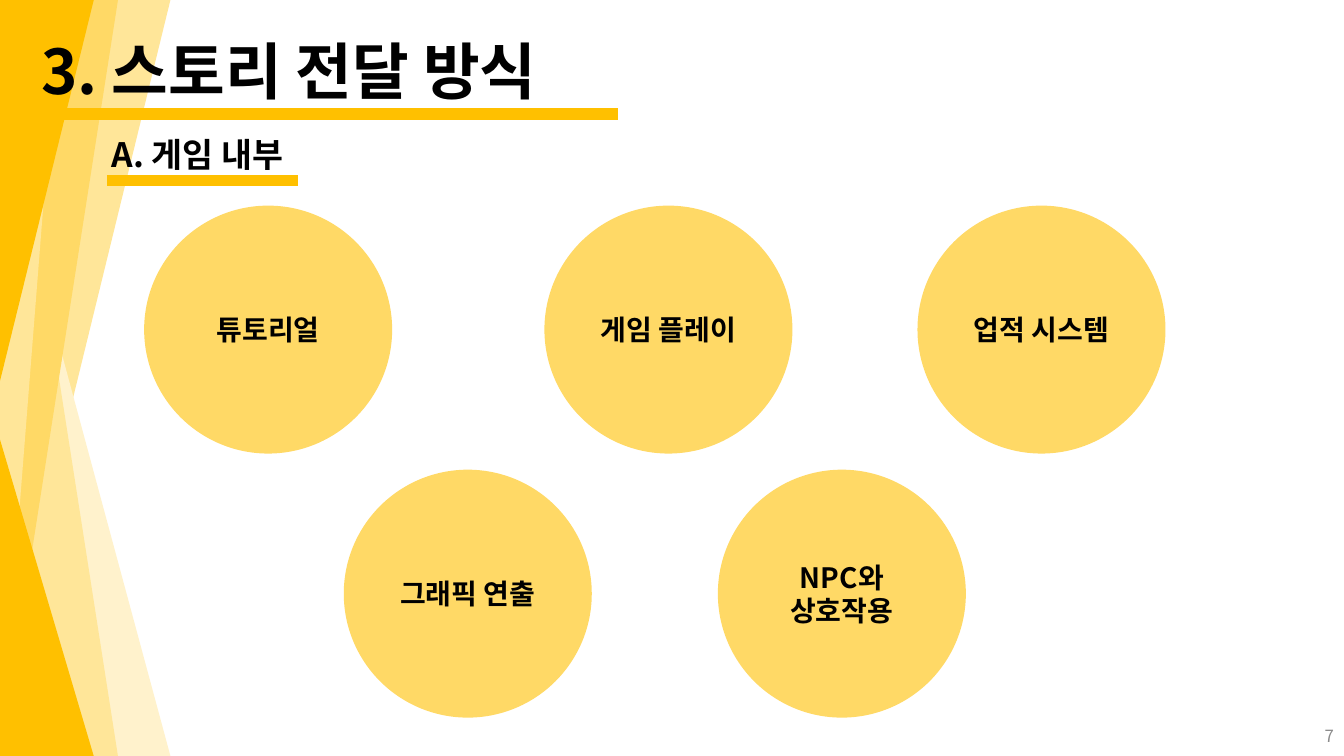
from pptx import Presentation
from pptx.dml.color import RGBColor
from pptx.enum import shapes, text
from pptx.oxml import xmlchemy
from pptx.util import Inches, Pt

AMBER, GOLD, PALE, CREAM = "FFC000", "FFD966", "FFE699", "FFF2CC"
BLACK, GREY = "000000", "8C8C8C"
ALIGN, ANCHOR = text.PP_ALIGN, text.MSO_ANCHOR

# (top, width, height, colour, hangs from the top edge), back to front
SIDE_TRIANGLES = [
    (0, 1.69, 6.91, PALE, True),
    (1.24, 1.69, 6.26, CREAM, False),
    (0, 1.17, 7.5, PALE, False),
    (0, 1.17, 7.5, GOLD, True),
    (0, 0.59, 7.5, PALE, True),
    (4.36, 0.93, 3.14, AMBER, False),
    (0, 0.93, 3.78, AMBER, True),
]
CIRCLE_SIZE = 2.46
CIRCLE_ROWS = {
    2.04: [(1.43, "튜토리얼"), (5.4, "게임 플레이"), (9.1, "업적 시스템")],
    4.66: [(3.41, "그래픽 연출"), (7.12, "NPC와\n상호작용")],
}


def colour(value):
    return RGBColor.from_string(value)


class StorySlide:
    font = "Noto Sans CJK KR"

    def __init__(self, presentation):
        self.slide = presentation.slides.add_slide(presentation.slide_layouts[5])

    def set_words(self, shape, words, size, ink=BLACK, bold=True,
                  align=ALIGN.LEFT, anchor=ANCHOR.TOP, spacing=1.0):
        frame = shape.text_frame
        frame_format = {"word_wrap": True, "vertical_anchor": anchor,
                        "auto_size": text.MSO_AUTO_SIZE.NONE}
        for name, value in frame_format.items():
            setattr(frame, name, value)
        paragraph = frame.paragraphs[0]
        paragraph.text = words
        paragraph.alignment = align
        paragraph.line_spacing = spacing
        for run in paragraph.runs:
            for name, value in {"name": self.font, "size": Pt(size), "bold": bold}.items():
                setattr(run.font, name, value)
            run.font.color.rgb = colour(ink)
            east_asian = xmlchemy.OxmlElement("a:ea")
            east_asian.set("typeface", self.font)
            run.font._element.append(east_asian)

    def title(self, box, words, size):
        shape = self.slide.shapes.title
        for name, value in zip(("left", "top", "width", "height"), box):
            setattr(shape, name, Inches(value))
        self.set_words(shape, words, size, anchor=ANCHOR.MIDDLE, spacing=0.9)

    def label(self, box, words, size, **style):
        shape = self.slide.shapes.add_textbox(*map(Inches, box))
        self.set_words(shape, words, size, **style)

    def solid(self, kind, box, fill):
        shape = self.slide.shapes.add_shape(kind, *map(Inches, box))
        shape.shadow.inherit = False
        shape.fill.solid()
        shape.fill.fore_color.rgb = colour(fill)
        shape.line.fill.background()
        return shape

    def side_triangle(self, top, width, height, fill, hanging):
        """Right triangle whose upright side lies on the slide's left edge."""
        shape = self.solid(shapes.MSO_SHAPE.ISOSCELES_TRIANGLE, (0, top, width, height), fill)
        shape.adjustments[0] = 1 if hanging else 0
        shape.rotation = 180 if hanging else 0

    def circle(self, left, top, words):
        shape = self.solid(shapes.MSO_SHAPE.OVAL, (left, top, CIRCLE_SIZE, CIRCLE_SIZE), GOLD)
        self.set_words(shape, words, 20, align=ALIGN.CENTER, anchor=ANCHOR.MIDDLE)

    def underline(self, left, right, y):
        line = self.slide.shapes.add_connector(
            shapes.MSO_CONNECTOR.STRAIGHT, *map(Inches, (left, y, right, y)))
        line.line.color.rgb = colour(AMBER)
        line.line.width = Pt(8.25)
        line._element.spPr.append(xmlchemy.OxmlElement("a:effectLst"))

    def title_to_front(self):
        tree = self.slide.shapes._spTree
        tree.append(self.slide.shapes.title._element)


def main():
    presentation = Presentation()
    presentation.slide_width, presentation.slide_height = Inches(13.33), Inches(7.5)
    page = StorySlide(presentation)
    for triangle in SIDE_TRIANGLES:
        page.side_triangle(*triangle)
    page.title((0.31, 0.37, 11.5, 0.73), "3. 스토리 전달 방식", 44)
    page.title_to_front()
    page.label((10.33, 7.1, 3, 0.4), "7", 12, ink=GREY, bold=False,
               align=ALIGN.RIGHT, anchor=ANCHOR.MIDDLE)
    page.underline(0.33, 6.13, 1.13)
    page.label((1.01, 1.28, 4.52, 0.5), "A. 게임 내부", 24)
    for top, row in CIRCLE_ROWS.items():
        for left, words in row:
            page.circle(left, top, words)
    page.underline(1.06, 2.96, 1.79)
    presentation.save("out.pptx")


if __name__ == "__main__":
    main()
